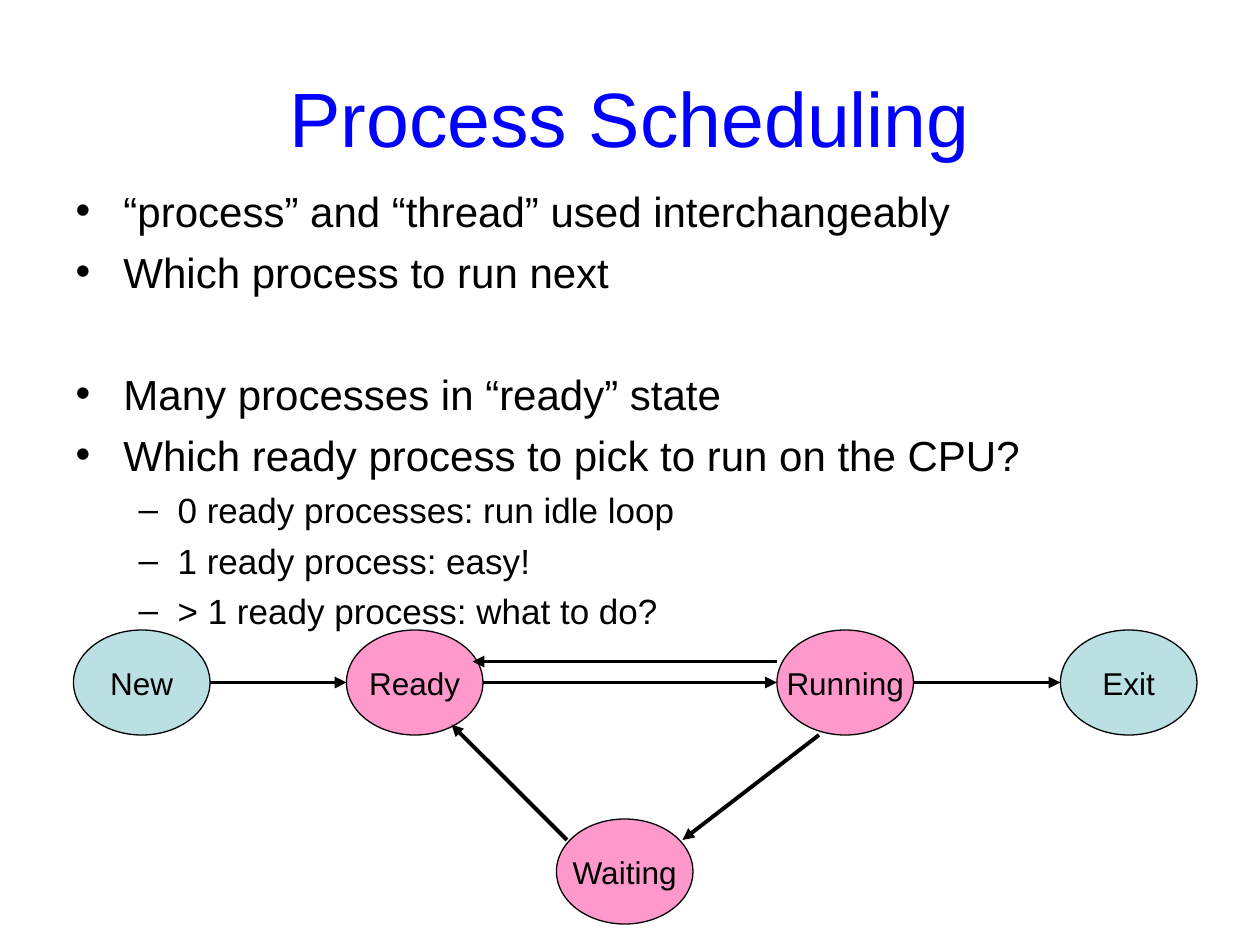
import pptx
import pptx.util
import pptx.dml.color
import pptx.enum.shapes
import pptx.enum.text
import pptx.oxml.ns
from lxml import etree

Inches, Pt = pptx.util.Inches, pptx.util.Pt
PP_ALIGN = pptx.enum.text.PP_ALIGN
ANCHOR = pptx.enum.text.MSO_ANCHOR

# Content
COLORS = {"title": "0000FF", "ink": "000000", "paper": "FFFFFF",
          "outside": "BBE0E3", "active": "FF99CC"}
TITLE = "Process Scheduling"
# (text, level, starts a new group)
POINTS = [
    ("“process” and “thread” used interchangeably", 0, False),
    ("Which process to run next", 0, False),
    ("Many processes in “ready” state", 0, True),
    ("Which ready process to pick to run on the CPU?", 0, False),
    ("0 ready processes: run idle loop", 1, False),
    ("1 ready process: easy!", 1, False),
    ("> 1 ready process: what to do?", 1, False),
]
LEVELS = [
    {"size": 24, "before": 6, "margin": 0.38, "hang": 0.38},
    {"size": 20, "before": 5, "margin": 0.81, "hang": 0.31},
]
GROUP_GAP = 35  # one line of the first level, in points

# Diagram on a grid of 12 cells to the inch: (name, column, row, colour)
CELL = Inches(1) / 12
STATE_COLS, STATE_ROWS = 13, 10
STATES = [
    ("New", 7, 60, "outside"),
    ("Ready", 33, 60, "active"),
    ("Running", 74, 60, "active"),
    ("Exit", 101, 60, "outside"),
    ("Waiting", 53, 78, "active"),
]
TRANSITIONS = [
    ((20, 65), (33, 65)),   # New to Ready
    ((46, 65), (74, 65)),   # Ready to Running
    ((78, 70), (65, 80)),   # Running to Waiting
    ((54, 80), (43, 69)),   # Waiting to Ready
    ((74, 63), (45, 63)),   # Running to Ready
    ((87, 65), (101, 65)),  # Running to Exit
]


def color(name):
    return pptx.dml.color.RGBColor.from_string(COLORS[name])


def cells(*counts):
    return [round(count * CELL) for count in counts]


def apply(target, values):
    for name, value in values.items():
        setattr(target, name, value)


def write(paragraph, text, size, ink="ink"):
    run = paragraph.add_run()
    run.text = text
    apply(run.font, {"name": "Arial", "size": Pt(size)})
    run.font.color.rgb = color(ink)


def place(shape, left, top, width, height):
    apply(shape, {"left": Inches(left), "top": Inches(top),
                  "width": Inches(width), "height": Inches(height)})


def add_state(slide, name, column, row, fill):
    state = slide.shapes.add_shape(
        pptx.enum.shapes.MSO_SHAPE.OVAL,
        *cells(column, row, STATE_COLS, STATE_ROWS))
    state.shadow.inherit = False
    state.fill.solid()
    state.fill.fore_color.rgb = color(fill)
    state.line.color.rgb = color("ink")
    state.line.width = Pt(0.75)
    apply(state.text_frame, {"word_wrap": False,
                             "vertical_anchor": ANCHOR.MIDDLE})
    label = state.text_frame.paragraphs[0]
    label.alignment = PP_ALIGN.CENTER
    write(label, name, 18)


def add_transition(slide, start, end):
    arrow = slide.shapes.add_connector(
        pptx.enum.shapes.MSO_CONNECTOR.STRAIGHT, *cells(*start, *end))
    arrow.line.color.rgb = color("ink")
    arrow.line.width = Pt(2.25)
    qn = pptx.oxml.ns.qn
    properties = arrow._element.spPr
    etree.SubElement(properties.find(qn("a:ln")), qn("a:tailEnd"),
                     type="triangle")
    etree.SubElement(properties, qn("a:effectLst"))


def main():
    deck = pptx.Presentation()
    apply(deck, {"slide_width": Inches(10), "slide_height": Inches(7.5)})
    slide = deck.slides.add_slide(deck.slide_layouts[1])
    slide.background.fill.solid()
    slide.background.fill.fore_color.rgb = color("paper")

    # Title
    title = slide.shapes.title
    place(title, 0.5, 0.3, 9, 1.25)
    apply(title.text_frame, {"vertical_anchor": ANCHOR.MIDDLE,
                             "auto_size": pptx.enum.text.MSO_AUTO_SIZE.NONE})
    heading = title.text_frame.paragraphs[0]
    heading.alignment = PP_ALIGN.CENTER
    write(heading, TITLE, 44, "title")

    # Bulleted list
    body = slide.placeholders[1]
    place(body, 0.5, 1.42, 9, 5.28)
    frame = body.text_frame
    frame.auto_size = pptx.enum.text.MSO_AUTO_SIZE.NONE
    for index, (text, level, new_group) in enumerate(POINTS):
        point = frame.add_paragraph() if index else frame.paragraphs[0]
        look = LEVELS[level]
        before = look["before"] + (GROUP_GAP if new_group else 0)
        apply(point, {"level": level, "space_before": Pt(before)})
        properties = point._p.get_or_add_pPr()
        properties.set("marL", str(Inches(look["margin"])))
        properties.set("indent", str(-Inches(look["hang"])))
        write(point, text, look["size"])

    # State diagram
    for state in STATES:
        add_state(slide, *state)
    for start, end in TRANSITIONS:
        add_transition(slide, start, end)

    deck.save("out.pptx")


if __name__ == "__main__":
    main()
